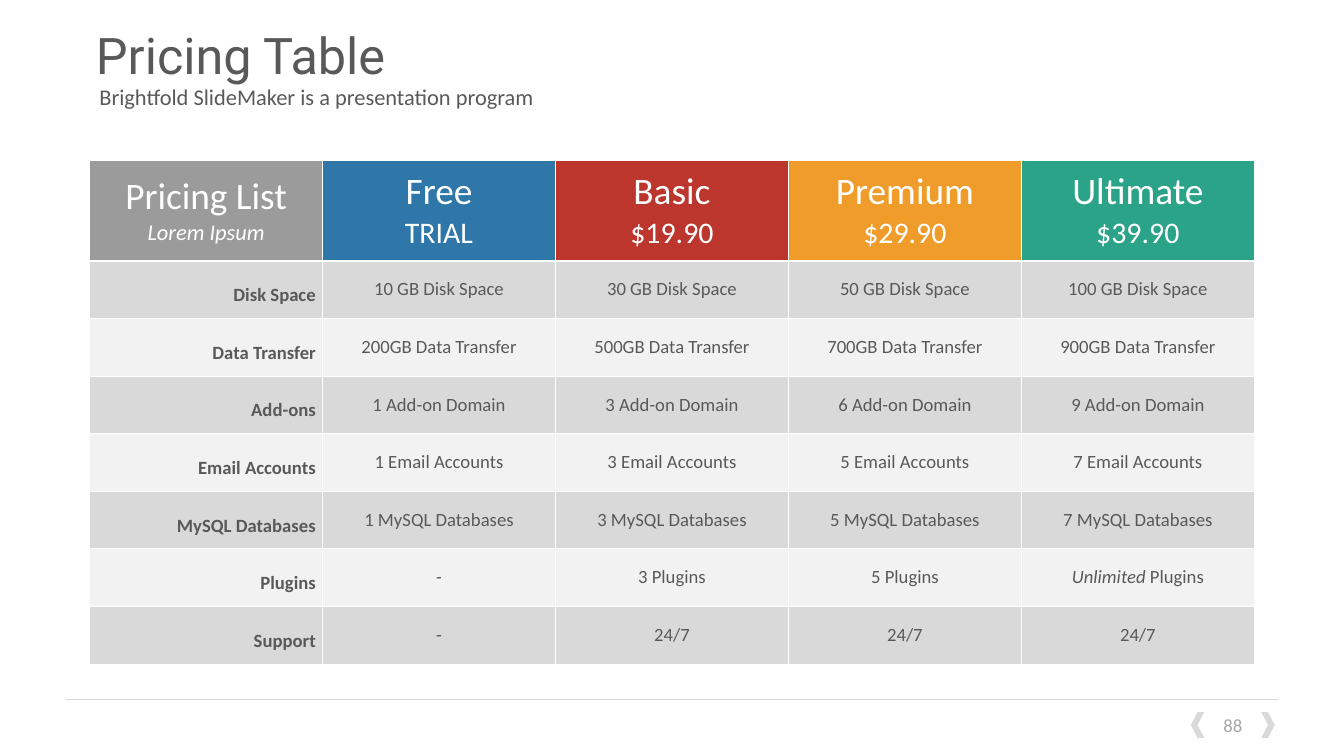
from lxml import etree
from pptx import Presentation
from pptx.dml.color import RGBColor
from pptx.enum.shapes import MSO_CONNECTOR, MSO_SHAPE
from pptx.enum.text import MSO_ANCHOR, PP_ALIGN
from pptx.oxml.ns import qn
from pptx.util import Inches, Pt

LEFT, CENTER, RIGHT = PP_ALIGN.LEFT, PP_ALIGN.CENTER, PP_ALIGN.RIGHT
TOP, MIDDLE = MSO_ANCHOR.TOP, MSO_ANCHOR.MIDDLE
STRAIGHT, CHEVRON = MSO_CONNECTOR.STRAIGHT, MSO_SHAPE.CHEVRON

COLORS = {
    "white": "FFFFFF", "text": "595959", "number": "A6A6A6",
    "dark_band": "D9D9D9", "light_band": "F2F2F2", "gray": "9B9B9B",
    "blue": "2E77A8", "red": "BC362D", "orange": "F09C2A", "green": "2BA388",
}
RGB = {name: RGBColor.from_string(value) for name, value in COLORS.items()}

PLANS = [
    ("Pricing List", "Lorem Ipsum", "gray"),
    ("Free", "TRIAL", "blue"),
    ("Basic", "$19.90", "red"),
    ("Premium", "$29.90", "orange"),
    ("Ultimate", "$39.90", "green"),
]
FEATURES = [
    ("Disk Space", "{} GB Disk Space", ["10", "30", "50", "100"]),
    ("Data Transfer", "{}GB Data Transfer", ["200", "500", "700", "900"]),
    ("Add-ons", "{} Add-on Domain", ["1", "3", "6", "9"]),
    ("Email Accounts", "{} Email Accounts", ["1", "3", "5", "7"]),
    ("MySQL Databases", "{} MySQL Databases", ["1", "3", "5", "7"]),
    ("Plugins", "{} Plugins", ["-", "3", "5", "Unlimited"]),
    ("Support", "{}", ["-", "24/7", "24/7", "24/7"]),
]

prs = Presentation()
prs.slide_width, prs.slide_height = Inches(20), Inches(11.25)
W, H = prs.slide_width, prs.slide_height
s = prs.slides.add_slide(prs.slide_layouts[6])


def write(p, text, size, color, align=CENTER, font="Calibri", bold=False, italic=False):
    p.alignment = align
    r = p.add_run()
    r.text = text
    r.font.name, r.font.size = font, Pt(size)
    r.font.bold, r.font.italic = bold, italic
    r.font.color.rgb = RGB[color]


def paint_cell(cell, color, bottom=1):
    cell.vertical_anchor = MIDDLE
    tcPr = cell._tc.get_or_add_tcPr()
    for side, width in (("lnL", 1), ("lnR", 1), ("lnT", 1), ("lnB", bottom)):
        ln = etree.SubElement(tcPr, qn(f"a:{side}"), w=str(Pt(width)))
        solid = etree.SubElement(ln, qn("a:solidFill"))
        etree.SubElement(solid, qn("a:srgbClr"), val=COLORS["white"])
    cell.fill.solid()
    cell.fill.fore_color.rgb = RGB[color]


rule_y = int(H * 0.9244)
rule = s.shapes.add_connector(STRAIGHT, int(W * 0.049), rule_y, int(W * 0.951), rule_y)
rule.line.color.rgb = RGB["dark_band"]
rule.line.width = Pt(0.5)
etree.SubElement(rule._element.spPr, qn("a:effectLst"))

for left, rotation in ((0.9385, 0), (0.886, 180)):
    arrow = s.shapes.add_shape(CHEVRON, int(W * left), int(H * 0.942), int(W * 0.01), int(H * 0.034))
    arrow.rotation = rotation
    arrow.shadow.inherit = False
    arrow.fill.solid()
    arrow.fill.fore_color.rgb = RGB["dark_band"]
    arrow.line.fill.background()

TEXTS = [
    ("88", 0.897, 0.94, 0.0405, 0.053, 20, "number", CENTER, "Calibri", TOP, 1),
    ("Pricing Table", 0.0665, 0.0364, 0.8625, 0.082, 54, "text", LEFT, "Roboto", MIDDLE, 0.9),
    ("Brightfold SlideMaker is a presentation program",
     0.069, 0.1093, 0.8625, 0.061, 24, "text", LEFT, "Calibri", TOP, 0.9),
]
for text, x, y, w, h, size, color, align, font, anchor, spacing in TEXTS:
    tf = s.shapes.add_textbox(int(W * x), int(H * y), int(W * w), int(H * h)).text_frame
    tf.word_wrap = True
    tf.vertical_anchor = anchor
    tf.paragraphs[0].line_spacing = spacing
    write(tf.paragraphs[0], text, size, color, align, font)

table_w, table_h, header_h = W * 13 // 15, H * 2 // 3, H * 2 // 15
table = s.shapes.add_table(len(FEATURES) + 1, len(PLANS), W // 15, int(H * 0.2116),
                           table_w, table_h).table
for column in table.columns:
    column.width = table_w // len(PLANS)
for row in table.rows:
    row.height = (table_h - header_h) // len(FEATURES)
table.rows[0].height = header_h

for col, (plan, price, color) in enumerate(PLANS):
    cell = table.cell(0, col)
    paint_cell(cell, color, bottom=3)
    tf = cell.text_frame
    write(tf.paragraphs[0], plan, 40, "white")
    write(tf.add_paragraph(), price, 32 if col else 24, "white", italic=col == 0)

for row, (feature, pattern, amounts) in enumerate(FEATURES, 1):
    band = "dark_band" if row % 2 else "light_band"
    cell = table.cell(row, 0)
    paint_cell(cell, band)
    p = cell.text_frame.paragraphs[0]
    p.line_spacing = 1.5
    write(p, feature, 20, "text", RIGHT, bold=True)
    for col, amount in enumerate(amounts, 1):
        cell = table.cell(row, col)
        paint_cell(cell, band)
        p = cell.text_frame.paragraphs[0]
        if amount == "Unlimited":
            write(p, amount, 20, "text", italic=True)
            write(p, pattern.format(""), 20, "text")
        else:
            write(p, amount if amount == "-" else pattern.format(amount), 20, "text")

prs.save("out.pptx")
